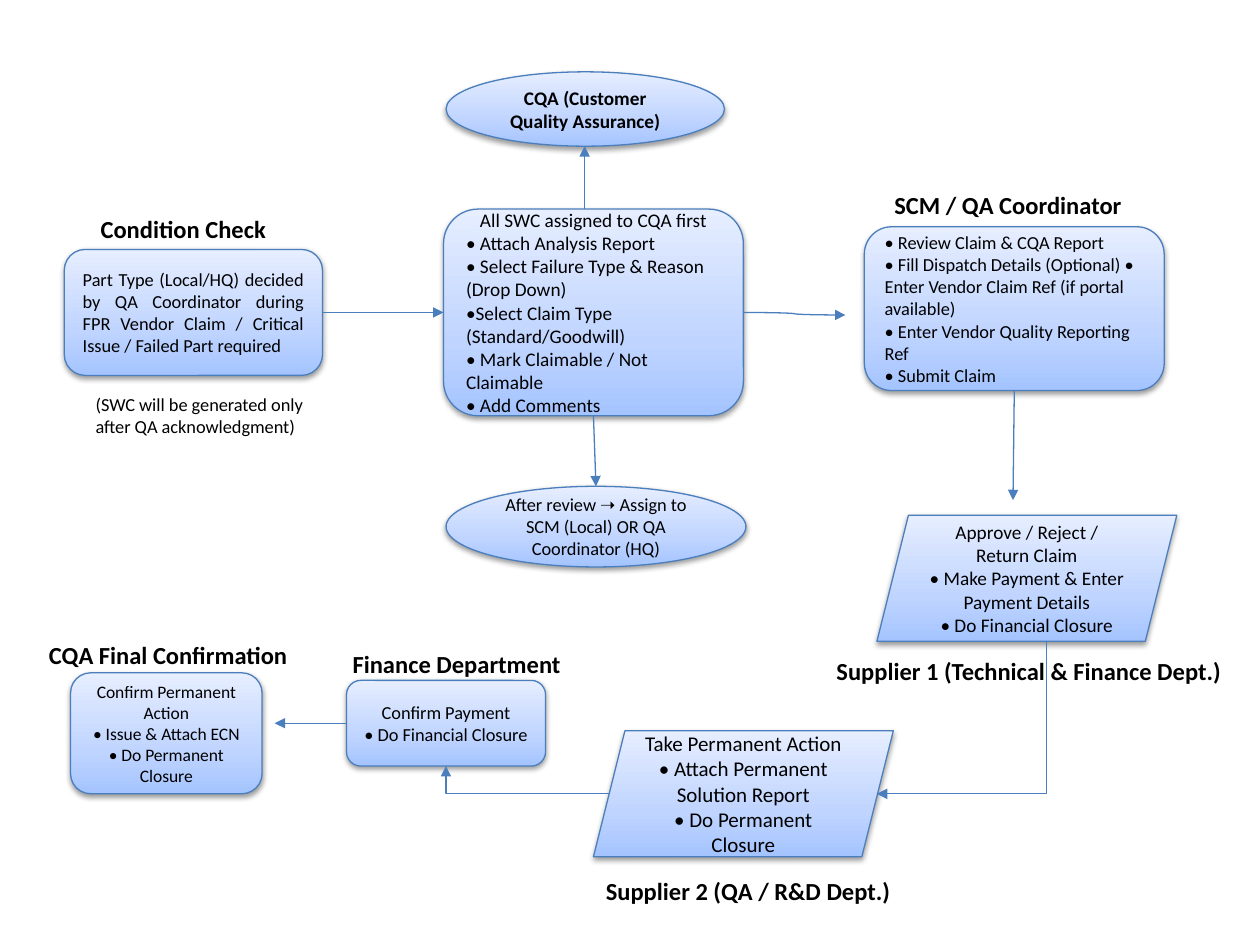
"""Build the vendor claim workflow slide."""
import pptx
import pptx.dml.color
import pptx.enum.shapes
import pptx.enum.text
import pptx.oxml
import pptx.oxml.ns
import pptx.util
from pptx.util import Inches

BLACK = pptx.dml.color.RGBColor(0x00, 0x00, 0x00)
LINE_BLUE = pptx.dml.color.RGBColor(0x4B, 0x7E, 0xBC)
GRADIENT_STOPS = [
    (0, pptx.dml.color.RGBColor(0xA4, 0xC4, 0xFF)),
    (35, pptx.dml.color.RGBColor(0xBF, 0xD4, 0xFF)),
    (100, pptx.dml.color.RGBColor(0xE6, 0xEE, 0xFF)),
]
NAMESPACE = pptx.oxml.ns.nsdecls("a")
SHAPE = pptx.enum.shapes.MSO_SHAPE
CONNECTOR = pptx.enum.shapes.MSO_CONNECTOR
ALIGN = pptx.enum.text.PP_ALIGN
LEFT, CENTER, JUSTIFY = ALIGN.LEFT, ALIGN.CENTER, ALIGN.JUSTIFY

STEPS = [
    ("condition", SHAPE.ROUNDED_RECTANGLE, (0.51, 1.98, 2.05, 1), 10.5, JUSTIFY, [
        "Part Type (Local/HQ) decided by QA Coordinator during FPR Vendor Claim / "
        "Critical Issue / Failed Part required"]),
    ("assurance", SHAPE.OVAL, (3.54, 0.57, 2.21, 0.59), 11, CENTER, [
        "CQA (Customer Quality Assurance)"]),
    ("analysis", SHAPE.ROUNDED_RECTANGLE, (3.52, 1.66, 2.38, 1.64), 11, LEFT, [
        "All SWC assigned to CQA first",
        "• Attach Analysis Report",
        "• Select Failure Type & Reason (Drop Down)",
        "•Select Claim Type (Standard/Goodwill)",
        "• Mark Claimable / Not Claimable",
        "• Add Comments"]),
    ("review", SHAPE.OVAL, (3.54, 3.86, 2.38, 0.64), 10.5, CENTER, [
        "After review ➝ Assign to SCM (Local) OR QA Coordinator (HQ)"]),
    ("coordinator", SHAPE.ROUNDED_RECTANGLE, (6.86, 1.8, 2.38, 1.3), 10.5, LEFT, [
        "• Review Claim & CQA Report",
        "• Fill Dispatch Details (Optional) • Enter Vendor Claim Ref (if portal available)",
        "• Enter Vendor Quality Reporting Ref",
        "• Submit Claim"]),
    ("supplier 1", SHAPE.PARALLELOGRAM, (6.96, 4.09, 2.38, 1), 11, CENTER, [
        "Approve / Reject / Return Claim",
        "• Make Payment & Enter Payment Details",
        "• Do Financial Closure"]),
    ("supplier 2", SHAPE.PARALLELOGRAM, (4.71, 5.8, 2.38, 1), 12, CENTER, [
        "Take Permanent Action • Attach Permanent Solution Report",
        "• Do Permanent Closure"]),
    ("finance", SHAPE.FLOWCHART_ALTERNATE_PROCESS, (2.75, 5.4, 1.58, 0.68), 10.5, CENTER, [
        "Confirm Payment",
        "• Do Financial Closure"]),
    ("confirmation", SHAPE.ROUNDED_RECTANGLE, (0.56, 5.34, 1.52, 0.96), 10, CENTER, [
        "Confirm Permanent Action",
        "• Issue & Attach ECN",
        "• Do Permanent Closure"]),
]

LABELS = [
    ("Condition Check", (0.7, 1.65, 2.5, 0.34), 14, True),
    ("SCM / QA Coordinator", (7, 1.46, 2.5, 0.34), 14, True),
    ("Supplier 1 (Technical & Finance Dept.)", (6.54, 5.16, 3.46, 0.34), 14, True),
    ("Supplier 2 (QA / R&D Dept.)", (4.71, 6.9, 3, 0.34), 14, True),
    ("Finance Department", (2.7, 5.1, 2.5, 0.34), 14, True),
    ("CQA Final Confirmation", (0.29, 5.03, 2.5, 0.34), 14, True),
    ("(SWC will be generated only after QA acknowledgment)", (0.66, 3.07, 2.05, 0.45), 10.5, False),
]

ARROWS = [
    (CONNECTOR.CURVE, (2.56, 2.48), (3.52, 2.5), ("condition", 3), ("analysis", 1)),
    (CONNECTOR.CURVE, (5.9, 2.48), (6.71, 2.5), ("analysis", 3), None),
    (CONNECTOR.STRAIGHT, (8.05, 3.1), (8.04, 3.97), ("coordinator", 2), None),
    (CONNECTOR.ELBOW, (8.33, 5.09), (6.96, 6.3), None, None),
    (CONNECTOR.ELBOW, (4.84, 6.3), (3.54, 6.08), None, ("finance", 2)),
    (CONNECTOR.STRAIGHT, (2.75, 5.74), (2.18, 5.74), ("finance", 1), None),
    (CONNECTOR.STRAIGHT, (4.64, 1.66), (4.64, 1.16), None, None),
    (CONNECTOR.STRAIGHT, (4.71, 3.3), (4.73, 3.86), ("analysis", 2), None),
]


def write_text(frame, lines, size, bold, alignment):
    frame.word_wrap = True
    for index, line in enumerate(lines):
        para = frame.paragraphs[0] if index == 0 else frame.add_paragraph()
        para.text = line
        para.alignment = alignment
        para.font.name = "Calibri"
        para.font.size = pptx.util.Pt(size)
        para.font.bold = bold
        para.font.color.rgb = BLACK


deck = pptx.Presentation()
deck.slide_width, deck.slide_height = Inches(10), Inches(7.5)
page = deck.slides.add_slide(deck.slide_layouts[6])

stops_xml = "".join(
    f'<a:gs pos="{position * 1000}"><a:srgbClr val="{color}"/></a:gs>'
    for position, color in GRADIENT_STOPS)
gradient_xml = (f'<a:gradFill {NAMESPACE} rotWithShape="1"><a:gsLst>{stops_xml}</a:gsLst>'
                '<a:lin ang="16200000" scaled="0"/></a:gradFill>')
shadow_xml = (f'<a:effectLst {NAMESPACE}><a:outerShdw blurRad="40000" dist="20000" '
              'dir="5400000" rotWithShape="0"><a:srgbClr val="000000">'
              '<a:alpha val="38000"/></a:srgbClr></a:outerShdw></a:effectLst>')

boxes = {}
for name, kind, bounds, size, alignment, lines in STEPS:
    box = page.shapes.add_shape(kind, *map(Inches, bounds))
    box.line.color.rgb = LINE_BLUE
    box.line.width = pptx.util.Pt(0.75)
    properties = box._element.spPr
    properties.find(pptx.oxml.ns.qn("a:ln")).addprevious(pptx.oxml.parse_xml(gradient_xml))
    properties.append(pptx.oxml.parse_xml(shadow_xml))
    box.text_frame.vertical_anchor = pptx.enum.text.MSO_ANCHOR.MIDDLE
    write_text(box.text_frame, lines, size, name == "assurance", alignment)
    boxes[name] = box
boxes["analysis"].text_frame.paragraphs[0].alignment = CENTER

for text, bounds, size, bold in LABELS:
    label = page.shapes.add_textbox(*map(Inches, bounds))
    write_text(label.text_frame, [text], size, bold, LEFT)

arrows = []
for kind, start, end, source, target in ARROWS:
    arrow = page.shapes.add_connector(kind, *map(Inches, start + end))
    if source:
        arrow.begin_connect(boxes[source[0]], source[1])
    if target:
        arrow.end_connect(boxes[target[0]], target[1])
    arrow.line.color.rgb = LINE_BLUE
    arrow.line.width = pptx.util.Pt(0.75)
    arrow.line._get_or_add_ln().append(pptx.oxml.parse_xml(f'<a:tailEnd {NAMESPACE} type="triangle"/>'))
    arrow._element.spPr.append(pptx.oxml.parse_xml(f"<a:effectLst {NAMESPACE}/>"))
    arrows.append(arrow)

supplier_bend, finance_bend = (
    arrow._element.spPr.find(pptx.oxml.ns.qn("a:prstGeom")) for arrow in arrows[3:5])
supplier_bend.find(pptx.oxml.ns.qn("a:avLst")).append(
    pptx.oxml.parse_xml(f'<a:gd {NAMESPACE} name="adj1" fmla="val 1700"/>'))
finance_bend.set("prst", "bentConnector2")

deck.save("out.pptx")
